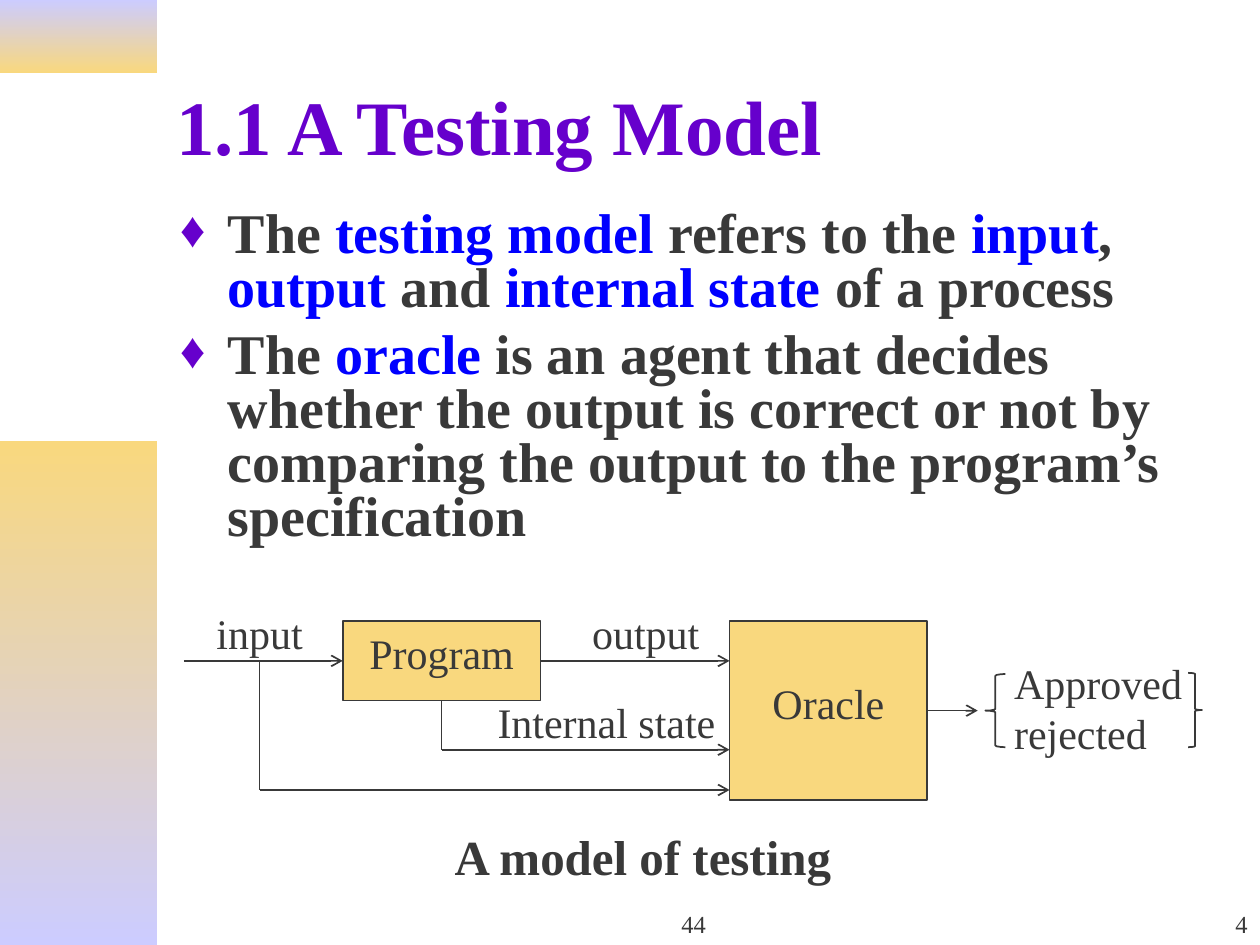
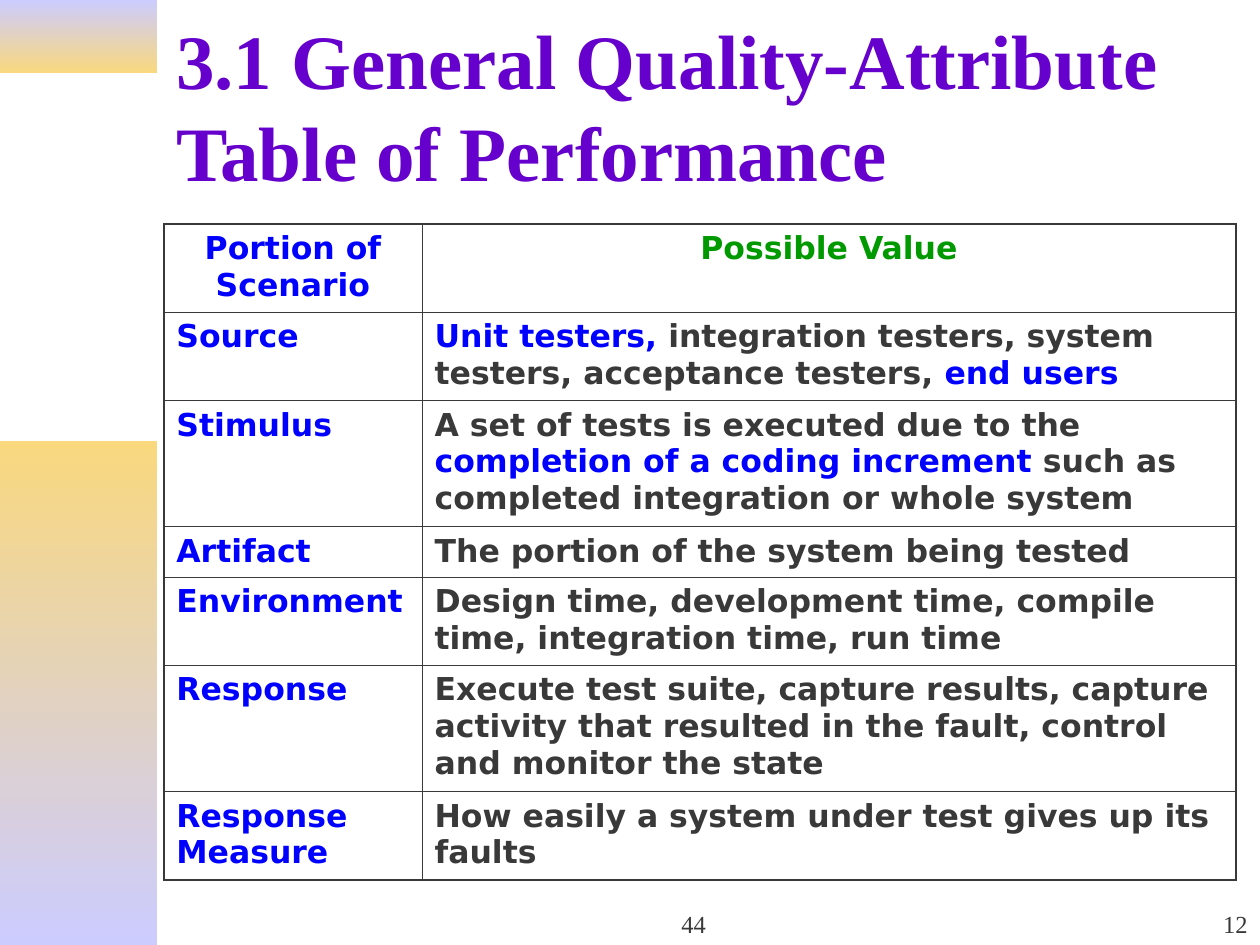
from pptx import Presentation
from pptx.dml.color import RGBColor
from pptx.enum.shapes import MSO_CONNECTOR, MSO_SHAPE
from pptx.enum.text import MSO_ANCHOR, PP_ALIGN
from pptx.oxml.ns import qn
from pptx.util import Inches, Pt
from lxml.etree import SubElement

PURPLE = RGBColor(0x66, 0x00, 0xCC)
BLUE = RGBColor(0x00, 0x00, 0xFF)
GREEN = RGBColor(0x00, 0x99, 0x00)
INK = RGBColor(0x39, 0x39, 0x39)
GOLD = RGBColor(0xF9, 0xD8, 0x7E)
LILAC = RGBColor(0xCC, 0xCC, 0xFF)
SERIF, SANS = "Times New Roman", "DejaVu Sans"

BANDS = [((0, 0, 1.25, 0.58), LILAC, GOLD), ((0, 3.5, 1.25, 4), GOLD, LILAC)]
TITLE = {"size": Pt(44), "name": SERIF, "bold": True}
BODY = {"size": Pt(32), "name": SERIF, "bold": True}
LABEL = {"size": Pt(24), "name": SERIF}
NOTE = {"size": Pt(28), "name": SERIF, "bold": True}
FOOT = {"size": Pt(14), "name": SERIF}
CELL = {"size": Pt(18), "name": SANS, "bold": True}

POINTS = [
    "The *testing model *refers to the *input*, *output* and *internal state *of a process",
    "The *oracle* is an agent that decides whether the output is correct or not by "
    "comparing the output to the program’s specification",
]
PROGRAM = (2.72, 4.93, 1.57, 0.63)
ORACLE = (5.79, 4.93, 1.57, 1.42)
LABELS = [
    ("input", (1.62, 4.77, 1, 0.5)),
    ("output", (4.6, 4.77, 1.15, 0.5)),
    ("Internal state", (3.85, 5.48, 2.05, 0.5)),
    ("Approved\nrejected", (7.95, 5.17, 1.65, 0.9)),
]
BRACES = [
    (MSO_SHAPE.LEFT_BRACE, (7.82, 5.35, 0.16, 0.58)),
    (MSO_SHAPE.RIGHT_BRACE, (9.43, 5.34, 0.11, 0.59)),
]
HEADS = [("Portion of Scenario", BLUE), ("Possible Value", GREEN)]
ROWS = [
    ("Source", "*Unit testers, *integration testers, system testers, "
               "acceptance testers, *end users*"),
    ("Stimulus", "A set of tests is executed due to the *completion of a coding "
                 "increment *such as completed integration or whole system"),
    ("Artifact", "The portion of the system being tested"),
    ("Environment", "Design time, development time, compile time, "
                    "integration time, run time"),
    ("Response", "Execute test suite, capture results, capture activity that "
                 "resulted in the fault, control and monitor the state"),
    ("Response Measure", "How easily a system under test gives up its faults"),
]
WIDTHS = [2.05, 6.46]
HEIGHTS = [0.7, 0.7, 1, 0.4, 0.7, 1, 0.7]


def place(box):
    return [Inches(n) for n in box]


def write(para, text, style, color=INK):
    for i, part in enumerate(text.split("*")):
        if part:
            run = para.add_run()
            run.text = part
            for key, value in style.items():
                setattr(run.font, key, value)
            run.font.color.rgb = BLUE if i % 2 else color


def add_text(slide, box, text, style, color=INK, align=PP_ALIGN.LEFT,
             anchor=MSO_ANCHOR.TOP):
    frame = slide.shapes.add_textbox(*place(box)).text_frame
    frame.word_wrap = True
    frame.vertical_anchor = anchor
    for i, line in enumerate(text.split("\n")):
        para = frame.add_paragraph() if i else frame.paragraphs[0]
        para.alignment = align
        write(para, line, style, color)


def add_shape(slide, kind, box):
    shape = slide.shapes.add_shape(kind, *place(box))
    shape.shadow.inherit = False
    shape.line.color.rgb = INK
    shape.line.width = Pt(1)
    return shape


def add_page(deck, title, box, number):
    slide = deck.slides.add_slide(deck.slide_layouts[6])
    for area, top, base in BANDS:
        band = add_shape(slide, MSO_SHAPE.RECTANGLE, area)
        band.line.fill.background()
        band.fill.gradient()
        band.fill.gradient_angle = 270
        for stop, color in zip(band.fill.gradient_stops, (top, base)):
            stop.color.rgb = color
    add_text(slide, box, title, TITLE, PURPLE, anchor=MSO_ANCHOR.MIDDLE)
    add_text(slide, (3.92, 7, 3.17, 0.5), "44", FOOT,
             align=PP_ALIGN.CENTER, anchor=MSO_ANCHOR.BOTTOM)
    add_text(slide, (7.92, 7, 2.08, 0.5), number, FOOT,
             align=PP_ALIGN.RIGHT, anchor=MSO_ANCHOR.BOTTOM)
    return slide


def add_points(slide):
    frame = slide.shapes.add_textbox(*place((1.33, 1.62, 8.31, 2.99))).text_frame
    frame.word_wrap = True
    for i, text in enumerate(POINTS):
        para = frame.add_paragraph() if i else frame.paragraphs[0]
        props = para._p.get_or_add_pPr()
        props.set("marL", str(Inches(0.38)))
        props.set("indent", str(-Inches(0.38)))
        tint = SubElement(props, qn("a:buClr"))
        SubElement(tint, qn("a:srgbClr"), val=str(PURPLE))
        SubElement(props, qn("a:buSzPct"), val="90000")
        SubElement(props, qn("a:buFont"), typeface=SERIF)
        SubElement(props, qn("a:buChar"), char="♦")
        para.line_spacing = 0.8
        if i:
            para.space_before = Pt(8)
        write(para, text, BODY)


def add_box(slide, text, box, top=0.05):
    shape = add_shape(slide, MSO_SHAPE.RECTANGLE, box)
    shape.fill.solid()
    shape.fill.fore_color.rgb = GOLD
    frame = shape.text_frame
    frame.word_wrap = False
    frame.vertical_anchor = MSO_ANCHOR.TOP
    frame.margin_top = Inches(top)
    frame.paragraphs[0].alignment = PP_ALIGN.CENTER
    write(frame.paragraphs[0], text, LABEL)
    return shape


def add_line(slide, start, end, head=True, source=None, target=None):
    line = slide.shapes.add_connector(MSO_CONNECTOR.STRAIGHT, *place(start + end))
    line.line.color.rgb = INK
    line.line.width = Pt(1)
    if head:
        SubElement(line.line._get_or_add_ln(), qn("a:tailEnd"), type="arrow")
    SubElement(line._element.spPr, qn("a:effectLst"))
    if source:
        line.begin_connect(*source)
    if target:
        line.end_connect(*target)


def add_model(slide):
    program = add_box(slide, "Program", PROGRAM)
    oracle = add_box(slide, "Oracle", ORACLE, 0.45)
    x, y, wide, high = PROGRAM
    mid, flow = x + wide / 2, y + high / 2
    left, top, span, tall = ORACLE
    right, out = left + span, top + tall / 2
    fork, state, low = 2.06, 5.95, 6.27
    add_line(slide, (1.46, flow), (x, flow), target=(program, 1))
    add_line(slide, (x + wide, flow), (left, flow), source=(program, 3))
    add_line(slide, (mid, y + high), (mid, state), False, source=(program, 2))
    add_line(slide, (mid, state), (left, state))
    add_line(slide, (fork, flow), (fork, low), False)
    add_line(slide, (fork, low), (left, low))
    add_line(slide, (right, out), (7.76, out), source=(oracle, 3))
    for text, box in LABELS:
        add_text(slide, box, text, LABEL)
    for kind, box in BRACES:
        add_shape(slide, kind, box).fill.background()
    add_text(slide, (3.51, 6.51, 3.35, 0.57), "A model of testing", NOTE)


def set_edges(cell, outer):
    props = cell._tc.get_or_add_tcPr()
    for side, wide in zip("LRTB", outer):
        edge = SubElement(props, qn("a:ln" + side), w=str(Pt(1.08 if wide else 0.45)))
        fill = SubElement(edge, qn("a:solidFill"))
        SubElement(fill, qn("a:srgbClr"), val=str(INK))
    cell.fill.background()


def add_grid(slide):
    count = len(HEIGHTS)
    box = (1.3, 1.78, sum(WIDTHS), sum(HEIGHTS))
    table = slide.shapes.add_table(count, len(WIDTHS), *place(box)).table
    table.first_row = table.horz_banding = False
    for col, width in zip(table.columns, WIDTHS):
        col.width = Inches(width)
    for row, height in zip(table.rows, HEIGHTS):
        row.height = Inches(height)
    lines = [HEADS] + [((name, BLUE), (value, INK)) for name, value in ROWS]
    for r, line in enumerate(lines):
        for c, (text, color) in enumerate(line):
            cell = table.cell(r, c)
            para = cell.text_frame.paragraphs[0]
            para.alignment = PP_ALIGN.LEFT if r else PP_ALIGN.CENTER
            write(para, text, CELL, color)
            set_edges(cell, (c == 0, c == 1, r == 0, r == count - 1))


def main():
    deck = Presentation()
    deck.slide_width, deck.slide_height = Inches(10), Inches(7.5)
    model = add_page(deck, "1.1 A Testing Model", (1.3, 0.33, 8.51, 1.32), "4")
    add_points(model)
    add_model(model)
    grid = add_page(deck, "3.1 General Quality-Attribute Table of Performance",
                    (1.3, 0.11, 8.2, 1.44), "12")
    add_grid(grid)
    deck.save("out.pptx")


if __name__ == "__main__":
    main()
